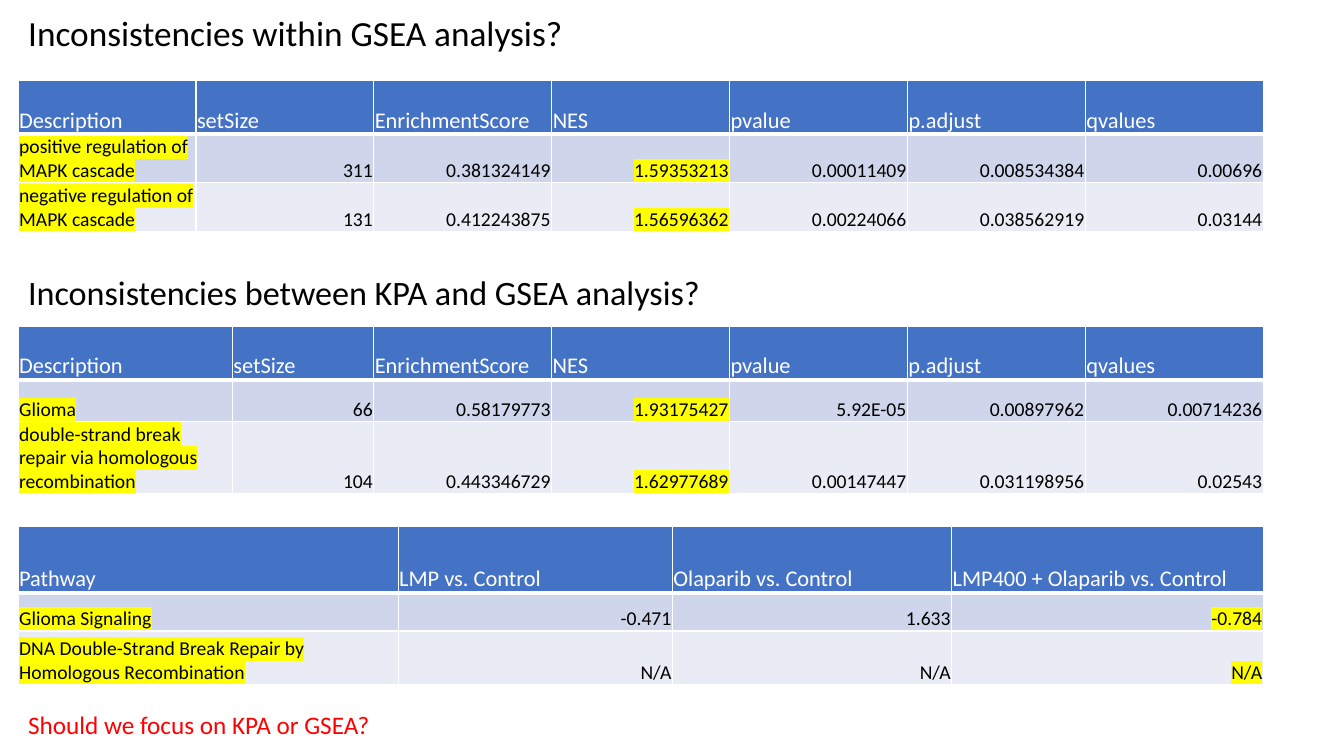
from dataclasses import dataclass

from lxml.etree import SubElement
from pptx import Presentation
from pptx.dml.color import RGBColor
from pptx.enum.text import MSO_ANCHOR as Anchor, MSO_AUTO_SIZE as AutoSize, PP_ALIGN as Align
from pptx.oxml.ns import qn
from pptx.util import Pt

PX = 9144  # EMU, 100 px to the inch


@dataclass(frozen=True)
class Theme:
    font: str = "Calibri"
    text: str = "000000"
    white: str = "FFFFFF"
    header: str = "4472C4"
    bands: tuple = ("CFD5EA", "E9EBF5")
    highlight: str = "FFFF00"
    question: str = "FF0000"
    title_size: float = 25.2
    heading_size: float = 24.4
    question_size: int = 18
    header_size: int = 16
    cell_size: int = 14


THEME = Theme()
GSEA_HEADER = ("Description", "setSize", "EnrichmentScore", "NES", "pvalue", "p.adjust", "qvalues")
GSEA_WITHIN = (
    GSEA_HEADER,
    ("positive regulation of MAPK cascade", "311", "0.381324149", "1.59353213",
     "0.00011409", "0.008534384", "0.00696"),
    ("negative regulation of MAPK cascade", "131", "0.412243875", "1.56596362",
     "0.00224066", "0.038562919", "0.03144"),
)
GSEA_BETWEEN = (
    GSEA_HEADER,
    ("Glioma", "66", "0.58179773", "1.93175427", "5.92E-05", "0.00897962", "0.00714236"),
    ("double-strand break repair via homologous recombination", "104", "0.443346729",
     "1.62977689", "0.00147447", "0.031198956", "0.02543"),
)
PATHWAYS = (
    ("Pathway", "LMP vs. Control", "Olaparib vs. Control", "LMP400 + Olaparib vs. Control"),
    ("Glioma Signaling", "-0.471", "1.633", "-0.784"),
    ("DNA Double-Strand Break Repair by Homologous Recombination", "N/A", "N/A", "N/A"),
)


def to_emu(box):
    return [length * PX for length in box]


def add_run(paragraph, text, size, color, highlighted=False):
    run = paragraph.add_run()
    run.text = text
    run.font.size = Pt(size)
    run.font.bold = False
    run.font.name = THEME.font
    run.font.color.rgb = RGBColor.from_string(color)
    if highlighted:
        properties = run.font._element
        highlight = SubElement(properties, qn("a:highlight"))
        SubElement(highlight, qn("a:srgbClr"), val=THEME.highlight)
        properties.find(qn("a:solidFill")).addnext(highlight)


def fill_heading(shape, box, text, size):
    shape.left, shape.top, shape.width, shape.height = to_emu(box)
    frame = shape.text_frame
    frame.word_wrap = True
    frame.auto_size = AutoSize.NONE
    frame.vertical_anchor = Anchor.MIDDLE
    paragraph = frame.paragraphs[0]
    paragraph.alignment = Align.LEFT
    paragraph.line_spacing = 0.9
    add_run(paragraph, text, size, THEME.text)


def add_question(slide, box, text):
    frame = slide.shapes.add_textbox(*to_emu(box)).text_frame
    frame.word_wrap = True
    frame.auto_size = AutoSize.SHAPE_TO_FIT_TEXT
    add_run(frame.paragraphs[0], text, THEME.question_size, THEME.question)


def set_borders(cell, bottom_width):
    """Draw white cell borders, 1 pt but for the bottom one."""
    properties = cell._tc.get_or_add_tcPr()
    for position, side in enumerate("LRTB"):
        width = bottom_width if side == "B" else 1
        line = SubElement(properties, qn(f"a:ln{side}"), w=str(Pt(width)))
        SubElement(SubElement(line, qn("a:solidFill")), qn("a:srgbClr"), val=THEME.white)
        properties.insert(position, line)


def fill_cell(cell, text, row, column, highlighted):
    is_header = row == 0
    cell.margin_left = cell.margin_right = cell.margin_top = PX
    cell.margin_bottom = 0
    cell.vertical_anchor = Anchor.BOTTOM
    cell.fill.solid()
    fill = THEME.header if is_header else THEME.bands[(row - 1) % 2]
    cell.fill.fore_color.rgb = RGBColor.from_string(fill)
    set_borders(cell, 3 if is_header else 1)
    paragraph = cell.text_frame.paragraphs[0]
    paragraph.alignment = Align.LEFT if is_header or column == 0 else Align.RIGHT
    if is_header:
        add_run(paragraph, text, THEME.header_size, THEME.white)
    else:
        add_run(paragraph, text, THEME.cell_size, THEME.text, highlighted)


def add_results_table(slide, box, rows, column_shares, row_heights, marked_columns):
    """Share the box width among the columns and highlight the marked ones."""
    frame = slide.shapes.add_table(len(rows), len(rows[0]), *to_emu(box))
    table = frame.table
    for column, share in zip(table.columns, column_shares):
        column.width = round(box[2] * PX * share / sum(column_shares))
    for row, height in zip(table.rows, row_heights):
        row.height = height * PX
    for row, values in enumerate(rows):
        for column, text in enumerate(values):
            fill_cell(table.cell(row, column), text, row, column, column in marked_columns)


def build_inconsistencies_slide(presentation):
    slide = presentation.slides.add_slide(presentation.slide_layouts[5])
    left, table_width, heading_width = 18, 1235, 1150
    fill_heading(slide.shapes.title, (left, 11, heading_width, 48),
                 "Inconsistencies within GSEA analysis?", THEME.title_size)
    gsea_rows = (53, 41, 41)
    add_results_table(slide, (left, 324, table_width, 164), GSEA_BETWEEN,
                      [212, 140] + [176] * 5, gsea_rows, (0, 3))
    add_results_table(slide, (left, 80, table_width, 148), GSEA_WITHIN,
                      [176] * 7, gsea_rows, (0, 3))
    heading_box = (left, 268, heading_width, 48)
    fill_heading(slide.shapes.add_textbox(*to_emu(heading_box)), heading_box,
                 "Inconsistencies between KPA and GSEA analysis?", THEME.heading_size)
    add_results_table(slide, (left, 522, table_width, 157), PATHWAYS,
                      [377, 272, 277, 309], (66, 38, 53), (0, 3))
    add_question(slide, (left, 699, 439, 40), "Should we focus on KPA or GSEA?")


def main():
    presentation = Presentation()
    presentation.slide_width, presentation.slide_height = to_emu((1333, 750))
    build_inconsistencies_slide(presentation)
    presentation.save("out.pptx")


if __name__ == "__main__":
    main()
